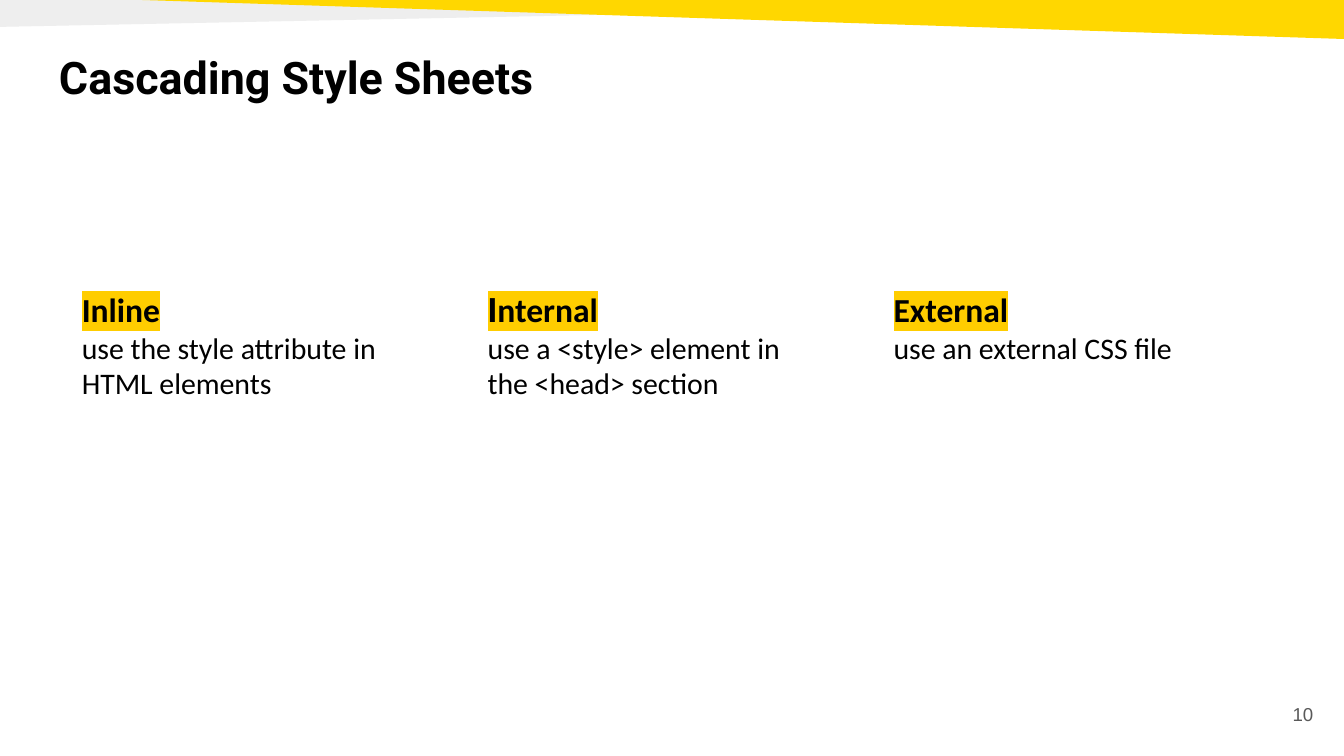
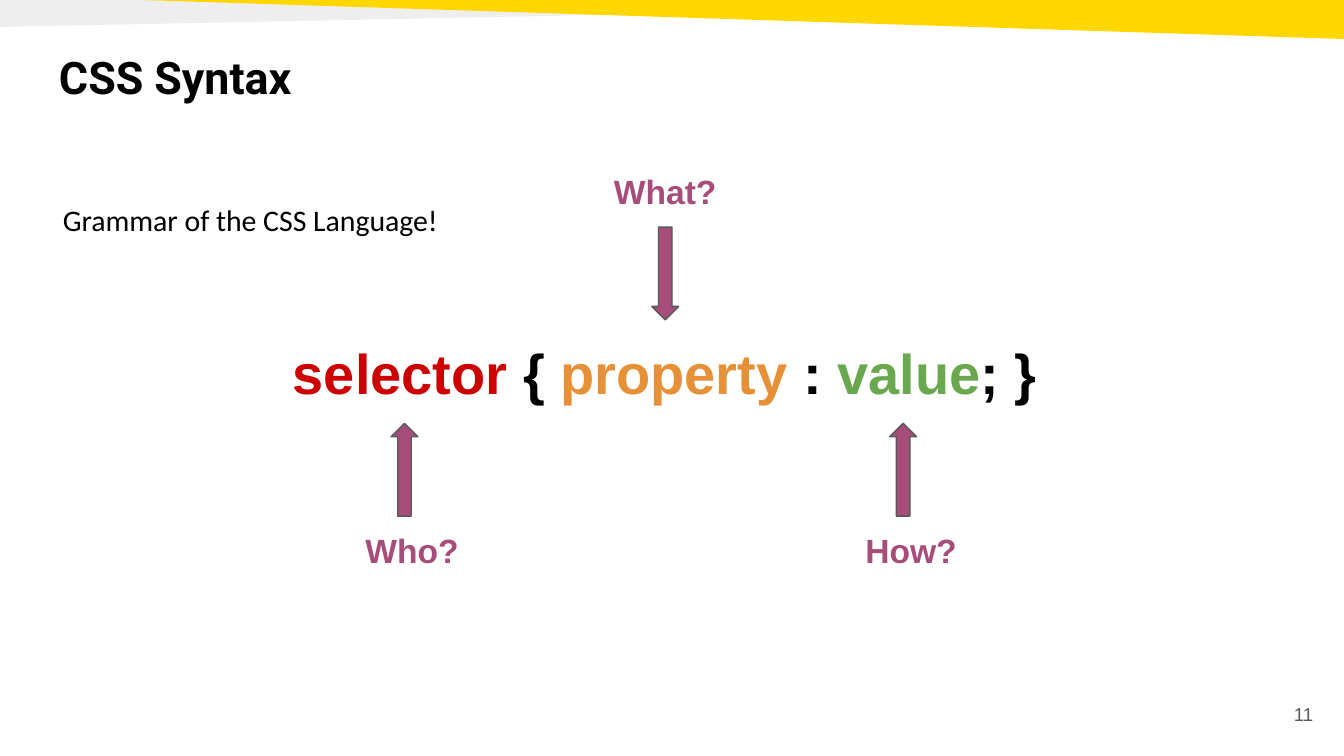
from dataclasses import dataclass

from lxml.etree import SubElement
from pptx import Presentation
from pptx.dml.color import RGBColor
from pptx.enum.shapes import MSO_SHAPE as SHAPE
from pptx.enum.text import MSO_ANCHOR as ANCHOR, PP_ALIGN as ALIGN
from pptx.oxml.ns import qn
from pptx.util import Inches, Pt


@dataclass(frozen=True)
class Theme:
    # Colours
    black: str = "000000"
    white: str = "FFFFFF"
    grey: str = "EEEEEE"
    dark_grey: str = "595959"
    yellow: str = "FFD700"
    marker: str = "FFCD00"
    plum: str = "A64D79"
    red: str = "CC0000"
    orange: str = "E69138"
    green: str = "6AA84F"
    # Fonts
    title_font: str = "Roboto"
    body_font: str = "Calibri"
    code_font: str = "Arial"
    # Type sizes
    title: int = 24
    code: int = 30
    label: int = 18
    body: int = 16
    number: int = 10


T = Theme()


# Text
def style_run(r, size, font, color=T.black, bold=False, highlight=None):
    r.font.size, r.font.name, r.font.bold = Pt(size), font, bold
    r.font.color.rgb = RGBColor.from_string(color)
    if highlight:
        rpr = r.font._element
        mark = SubElement(rpr, qn("a:highlight"))
        SubElement(mark, qn("a:srgbClr")).set("val", highlight)
        rpr.find(qn("a:solidFill")).addnext(mark)


def add_box(slide, x, y, w, h, anchor=ANCHOR.TOP):
    tf = slide.shapes.add_textbox(Inches(x), Inches(y), Inches(w), Inches(h)).text_frame
    tf.word_wrap = True
    tf.vertical_anchor = anchor
    tf.margin_left = tf.margin_right = tf.margin_top = tf.margin_bottom = Inches(0.1)
    return tf


def add_line(slide, text, at, size, font, align=ALIGN.LEFT, anchor=ANCHOR.TOP, **style):
    tf = add_box(slide, *at, anchor)
    tf.text = text
    p = tf.paragraphs[0]
    p.alignment = align
    style_run(p.runs[0], size, font, **style)
    return p


def add_runs(p, parts, size, bold=True, highlight=None):
    for text, font, color in parts:
        r = p.add_run()
        r.text = text
        style_run(r, size, font, color, bold, highlight)


# Shapes
def add_filled(slide, kind, at, color, rotation=0, outline=None):
    sp = slide.shapes.add_shape(kind, *(Inches(v) for v in at))
    sp.shadow.inherit = False
    sp.rotation = rotation
    sp.fill.solid()
    sp.fill.fore_color.rgb = RGBColor.from_string(color)
    if outline:
        sp.line.color.rgb = RGBColor.from_string(outline)
        sp.line.width = Pt(0.75)
    else:
        sp.line.fill.background()
    return sp


# Shared bands, page number and title
def add_base(prs, title, number, title_h):
    s = prs.slides.add_slide(prs.slide_layouts[6])
    band = add_filled(s, SHAPE.RIGHT_TRIANGLE, (0, 0, 10, 0.2), T.grey, 180)
    band._element.spPr.find(qn("a:xfrm")).set("flipH", "1")
    add_filled(s, SHAPE.RIGHT_TRIANGLE, (1.06, 0, 8.94, 0.29), T.yellow, 180)
    add_line(s, str(number), (9.27, 5.1, 0.6, 0.43), T.number, T.code_font,
             ALIGN.RIGHT, ANCHOR.MIDDLE, color=T.dark_grey)
    add_line(s, title, (0.34, 0.27, 9.32, title_h), T.title, T.title_font, bold=True)
    return s


def add_column(slide, x, heading, text):
    tf = add_box(slide, x, 2.05, 2.55, 1.06)
    parts = [(part, font, T.black) for part, font in heading]
    add_runs(tf.paragraphs[0], parts, T.label, highlight=T.marker)
    p = tf.add_paragraph()
    p.text = text
    style_run(p.runs[0], T.body, T.body_font, highlight=T.white)


def add_question(slide, text, arrow_at, label_at, label_w=0.95, rotation=0):
    add_filled(slide, SHAPE.UP_ARROW, (*arrow_at, 0.2, 0.69), T.plum, rotation, T.dark_grey)
    add_line(slide, text, (*label_at, label_w, 0.49), T.label, T.code_font,
             color=T.plum, bold=True)


# Slides
def build_style_sheets(prs):
    s = add_base(prs, "Cascading Style Sheets", 10, 0.68)
    columns = [
        ([("Inline", T.body_font)], "use the style attribute in HTML elements"),
        ([("I", T.title_font), ("nternal", T.body_font)],
         "use a <style> element in the <head> section"),
        ([("External", T.body_font)], "use an external CSS file"),
    ]
    for i, (heading, text) in enumerate(columns):
        add_column(s, 0.51 + 3.02 * i, heading, text)


def build_syntax(prs):
    s = add_base(prs, "CSS Syntax", 11, 1)
    p = add_line(s, "Grammar of the CSS Language!", (0.37, 1.27, 4.13, 0.43),
                 T.body, T.body_font, highlight=T.white)
    p.line_spacing = 1.5

    # Rule with coloured parts
    rule = [("selector ", T.red), ("{ ", T.black), ("property ", T.orange),
            (": ", T.black), ("value", T.green), ("; }", T.black)]
    p = add_box(s, 1.6, 2.42, 6.69, 0.69).paragraphs[0]
    p.alignment = ALIGN.CENTER
    add_runs(p, [(text, T.code_font, color) for text, color in rule], T.code)

    # Questions that point at the parts
    add_question(s, "Who?", (2.91, 3.15), (2.62, 3.84))
    add_question(s, "What?", (4.85, 1.69), (4.47, 1.17), label_w=1.27, rotation=180)
    add_question(s, "How?", (6.62, 3.15), (6.34, 3.84))


def main():
    prs = Presentation()
    # Widescreen, 16:9
    prs.slide_width = Inches(10)
    prs.slide_height = Inches(10 * 9 / 16)
    build_style_sheets(prs)
    build_syntax(prs)
    prs.save("out.pptx")


if __name__ == "__main__":
    main()
